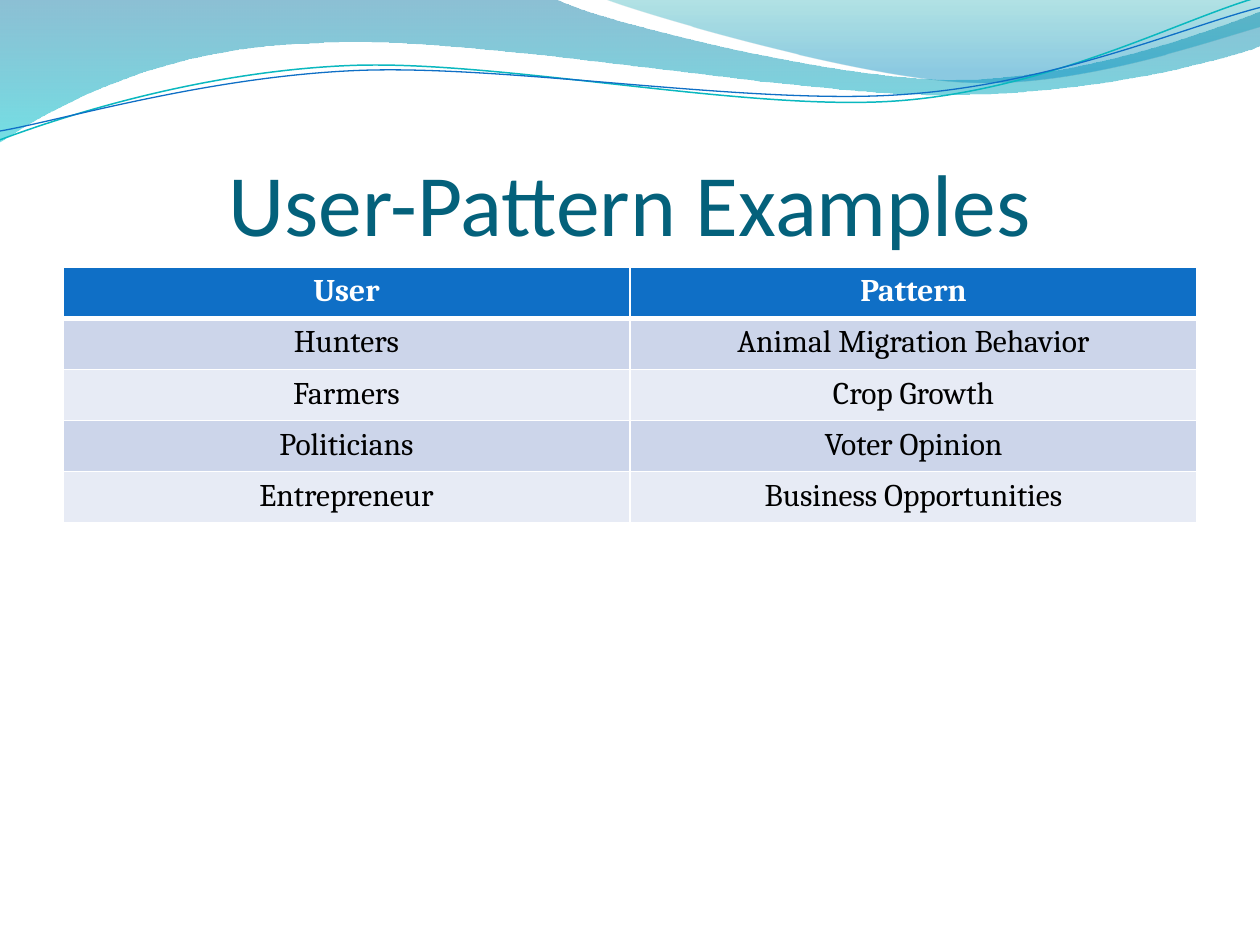
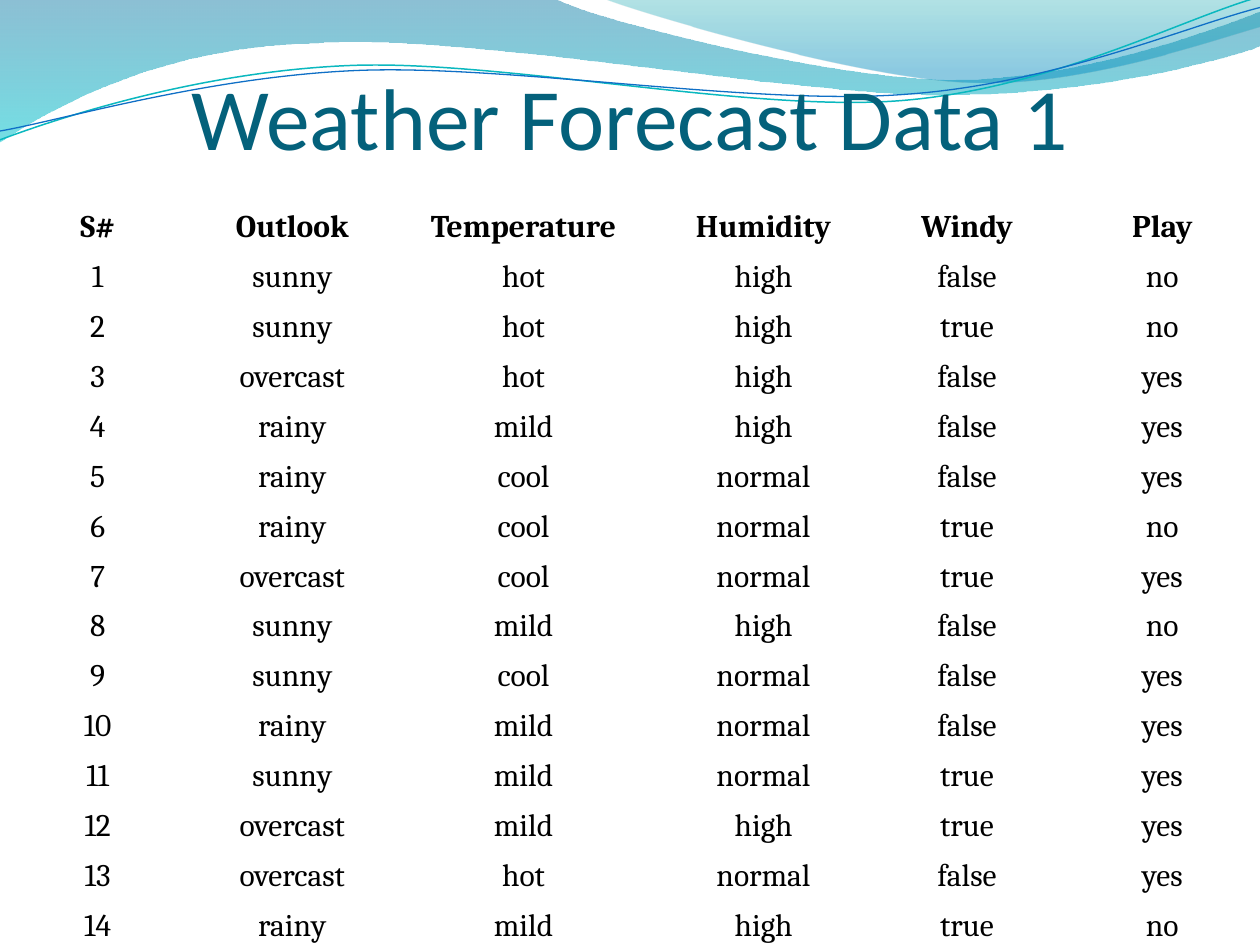
from dataclasses import dataclass
from math import cos, radians, sin

from lxml import etree
from pptx import Presentation
from pptx.dml.color import RGBColor
from pptx.enum.text import MSO_ANCHOR, PP_ALIGN
from pptx.oxml.ns import qn
from pptx.util import Inches, Pt

CENTER = PP_ALIGN.CENTER
TOP, BOTTOM = MSO_ANCHOR.TOP, MSO_ANCHOR.BOTTOM
TITLE_ONLY = 5
NO_STYLE_NO_GRID = "{2D5ABB26-0587-4C30-8999-92F81FD0307C}"
CURVE_TILT = -2.7


@dataclass(frozen=True)
class Theme:
    title_font: str = "Calibri"
    body_font: str = "Cambria"
    title_size: int = 50
    body_size: int = 18
    title: str = "04617B"
    text: str = "000000"
    white: str = "FFFFFF"
    header: str = "0F6FC6"
    bands: tuple = ("CCD5EA", "E7EBF5")
    teal_line: str = "0AB8BF"
    blue_line: str = "0F6FC6"
    # Gradient stops: position, colour, opacity in percent
    left_wave: tuple = ((0, "0074A1", 45), (1, "00C6CF", 55))
    right_wave: tuple = ((0, "00A1A9", 30), (0.8, "008BBF", 45))


THEME = Theme()

USER_PATTERNS = [
    ("User", "Pattern"),
    ("Hunters", "Animal Migration Behavior"),
    ("Farmers", "Crop Growth"),
    ("Politicians", "Voter Opinion"),
    ("Entrepreneur", "Business Opportunities"),
]

WEATHER_HEADER = ("S#", "Outlook", "Temperature", "Humidity", "Windy", "Play")
WEATHER_DAYS = [
    ("sunny", "hot", "high", "false", "no"),
    ("sunny", "hot", "high", "true", "no"),
    ("overcast", "hot", "high", "false", "yes"),
    ("rainy", "mild", "high", "false", "yes"),
    ("rainy", "cool", "normal", "false", "yes"),
    ("rainy", "cool", "normal", "true", "no"),
    ("overcast", "cool", "normal", "true", "yes"),
    ("sunny", "mild", "high", "false", "no"),
    ("sunny", "cool", "normal", "false", "yes"),
    ("rainy", "mild", "normal", "false", "yes"),
    ("sunny", "mild", "normal", "true", "yes"),
    ("overcast", "mild", "high", "true", "yes"),
    ("overcast", "hot", "normal", "false", "yes"),
    ("rainy", "mild", "high", "true", "no"),
]

# Outlines in inches: each step is one point (straight) or three (Bézier curve)
LEFT_WAVE = [
    [(0, 0)], [(4.4, -0.01)],
    [(4.76, 0.17), (6.64, 0.63), (7.58, 0.63)],
    [(8.53, 0.63), (9.58, 0.26), (10, 0.09)],
    [(10.01, 0.36)],
    [(9.83, 0.44), (8.7, 0.76), (7.46, 0.75)],
    [(6.22, 0.75), (3.82, 0.28), (2.57, 0.34)],
    [(1.29, 0.36), (0.46, 0.83), (-0.01, 1.13)],
    [(0, 0)],
]
RIGHT_WAVE = [
    [(4.79, -0.01)],
    [(5.09, 0.11), (6.82, 0.62), (7.69, 0.65)],
    [(8.56, 0.69), (9.61, 0.32), (10, 0.21)],
    [(10, 0)], [(4.79, -0.01)],
]
TEAL_CURVE = [
    [(0, 1.11)],
    [(0.48, 0.93), (1.58, 0.57), (2.77, 0.52)],
    [(3.95, 0.47), (5.93, 0.89), (7.13, 0.8)],
    [(8.33, 0.71), (9.38, 0.15), (9.98, -0.02)],
]
BLUE_CURVE = [
    [(0, 1.04)],
    [(0.47, 0.96), (1.64, 0.61), (2.83, 0.56)],
    [(4.03, 0.51), (5.97, 0.84), (7.17, 0.75)],
    [(8.36, 0.67), (9.41, 0.21), (10, 0.06)],
]


def rgb(color):
    return RGBColor.from_string(color)


def level(outline, center):
    """Turn the outline back by the curve tilt, so the shape's rotation restores it."""
    angle = radians(-CURVE_TILT)
    center_x, center_y = center

    def turn(x, y):
        dx, dy = x - center_x, y - center_y
        return (center_x + dx * cos(angle) - dy * sin(angle),
                center_y + dx * sin(angle) + dy * cos(angle))

    return [[turn(*point) for point in step] for step in outline]


def add_outline(slide, outline, close):
    points = [(Inches(x), Inches(y)) for step in outline for x, y in step]
    builder = slide.shapes.build_freeform(*points[0])
    builder.add_line_segments(points[1:], close=close)
    shape = builder.convert_to_shape()
    shape.shadow.inherit = False
    # Merge each run of three straight segments into one Bézier segment
    segments = iter(list(shape.element.iter(qn("a:lnTo"))))
    for step in outline[1:]:
        first, *others = [next(segments) for _ in step]
        if others:
            curve = etree.Element(qn("a:cubicBezTo"))
            first.addprevious(curve)
            for segment in (first, *others):
                curve.append(segment[0])
                segment.getparent().remove(segment)
    return shape


def add_wave(slide, outline, stops):
    shape = add_outline(slide, outline, close=True)
    shape.line.fill.background()
    shape.fill.gradient()
    shape.fill.gradient_angle = 270
    for stop, (position, color, _) in zip(shape.fill.gradient_stops, stops):
        stop.position = position
        stop.color.rgb = rgb(color)
    for color_element, (_, _, opacity) in zip(shape.element.iter(qn("a:srgbClr")), stops):
        etree.SubElement(color_element, qn("a:alpha"), val=str(opacity * 1000))
    return shape


def add_curve(slide, outline, center, color, width):
    shape = add_outline(slide, level(outline, center), close=False)
    shape.rotation = CURVE_TILT
    shape.fill.background()
    shape.line.color.rgb = rgb(color)
    shape.line.width = Pt(width)
    return shape


def decorate_layout(layout, slide):
    """Draw the waves on the slide, then move them behind the layout's placeholders."""
    shapes = [
        add_wave(slide, LEFT_WAVE, THEME.left_wave),
        add_wave(slide, RIGHT_WAVE, THEME.right_wave),
        add_curve(slide, TEAL_CURVE, (4.99, 0.57), THEME.teal_line, 0.85),
        add_curve(slide, BLUE_CURVE, (5, 0.59), THEME.blue_line, 0.75),
    ]
    for index, shape in enumerate(shapes, start=2):
        layout.shapes.element.insert(index, shape.element)


def write(text_frame, text, font_name, size, color, bold=False):
    paragraph = text_frame.paragraphs[0]
    paragraph.alignment = CENTER
    run = paragraph.add_run()
    run.text = text
    run.font.name = font_name
    run.font.size = Pt(size)
    run.font.bold = bold
    run.font.color.rgb = rgb(color)


def set_title(slide, text, top):
    title = slide.shapes.title
    title.left, title.top = Inches(0.5), Inches(top)
    title.width, title.height = Inches(9), Inches(1.25)
    frame = title.text_frame
    frame.vertical_anchor = BOTTOM
    frame.margin_left = frame.margin_right = frame.margin_bottom = 0
    frame.margin_top = Inches(0.05)
    write(frame, text, THEME.title_font, THEME.title_size, THEME.title)


def set_borders(cell, widths):
    """Give the cell white borders; widths maps L, R, T and B to points."""
    properties = cell._tc.get_or_add_tcPr()
    for index, (side, width) in enumerate(widths.items()):
        line = etree.Element(qn(f"a:ln{side}"), w=str(Pt(width)))
        fill = etree.SubElement(line, qn("a:solidFill"))
        etree.SubElement(fill, qn("a:srgbClr"), val=THEME.white)
        properties.insert(index, line)


def add_text_table(slide, rows, left, top, column_widths, row_heights, header_color):
    """Add an unstyled table of centred text with a bold first row."""
    frame = slide.shapes.add_table(
        len(rows), len(column_widths), Inches(left), Inches(top),
        Inches(sum(column_widths)), Inches(sum(row_heights)))
    table = frame.table
    table.horz_banding = False
    next(frame.element.iter(qn("a:tableStyleId"))).text = NO_STYLE_NO_GRID
    for column, width in zip(table.columns, column_widths):
        column.width = Inches(width)
    for row, height in zip(table.rows, row_heights):
        row.height = Inches(height)
    for row_index, values in enumerate(rows):
        is_header = row_index == 0
        color = header_color if is_header else THEME.text
        for column_index, value in enumerate(values):
            write(table.cell(row_index, column_index).text_frame, value,
                  THEME.body_font, THEME.body_size, color, bold=is_header)
    return table


def build_user_patterns(slide):
    set_title(slide, "User-Pattern Examples", 0.77)
    count = len(USER_PATTERNS)
    table = add_text_table(slide, USER_PATTERNS, 0.5, 2.12, [4.5] * 2,
                           [2.03 / count] * count, THEME.white)
    for index, row in enumerate(table.rows):
        color = THEME.bands[(index - 1) % 2] if index else THEME.header
        widths = {"L": 1, "R": 1, "T": 3 if index == 1 else 1, "B": 1 if index else 3}
        for cell in row.cells:
            cell.vertical_anchor = TOP
            cell.fill.solid()
            cell.fill.fore_color.rgb = rgb(color)
            set_borders(cell, widths)


def build_weather(slide):
    set_title(slide, "Weather Forecast Data 1", 0.08)
    rows = [WEATHER_HEADER]
    rows += [(str(number), *day) for number, day in enumerate(WEATHER_DAYS, start=1)]
    header_height = 0.7
    day_height = (6.25 - header_height) / len(WEATHER_DAYS)
    table = add_text_table(slide, rows, 0, 1.25, [1.55, 1.54, 2.13, 1.68, 1.55, 1.55],
                           [header_height] + [day_height] * len(WEATHER_DAYS), THEME.text)
    for row in table.rows:
        for index, cell in enumerate(row.cells):
            margin = Inches(0.02 if index else 0.01)
            cell.margin_left = cell.margin_right = cell.margin_top = margin
            cell.margin_bottom = 0
            cell.vertical_anchor = BOTTOM
            cell.fill.background()


def main():
    presentation = Presentation()
    presentation.slide_width, presentation.slide_height = Inches(10), Inches(7.5)
    layout = presentation.slide_layouts[TITLE_ONLY]
    patterns_slide = presentation.slides.add_slide(layout)
    decorate_layout(layout, patterns_slide)
    build_user_patterns(patterns_slide)
    build_weather(presentation.slides.add_slide(layout))
    presentation.save("out.pptx")


if __name__ == "__main__":
    main()
